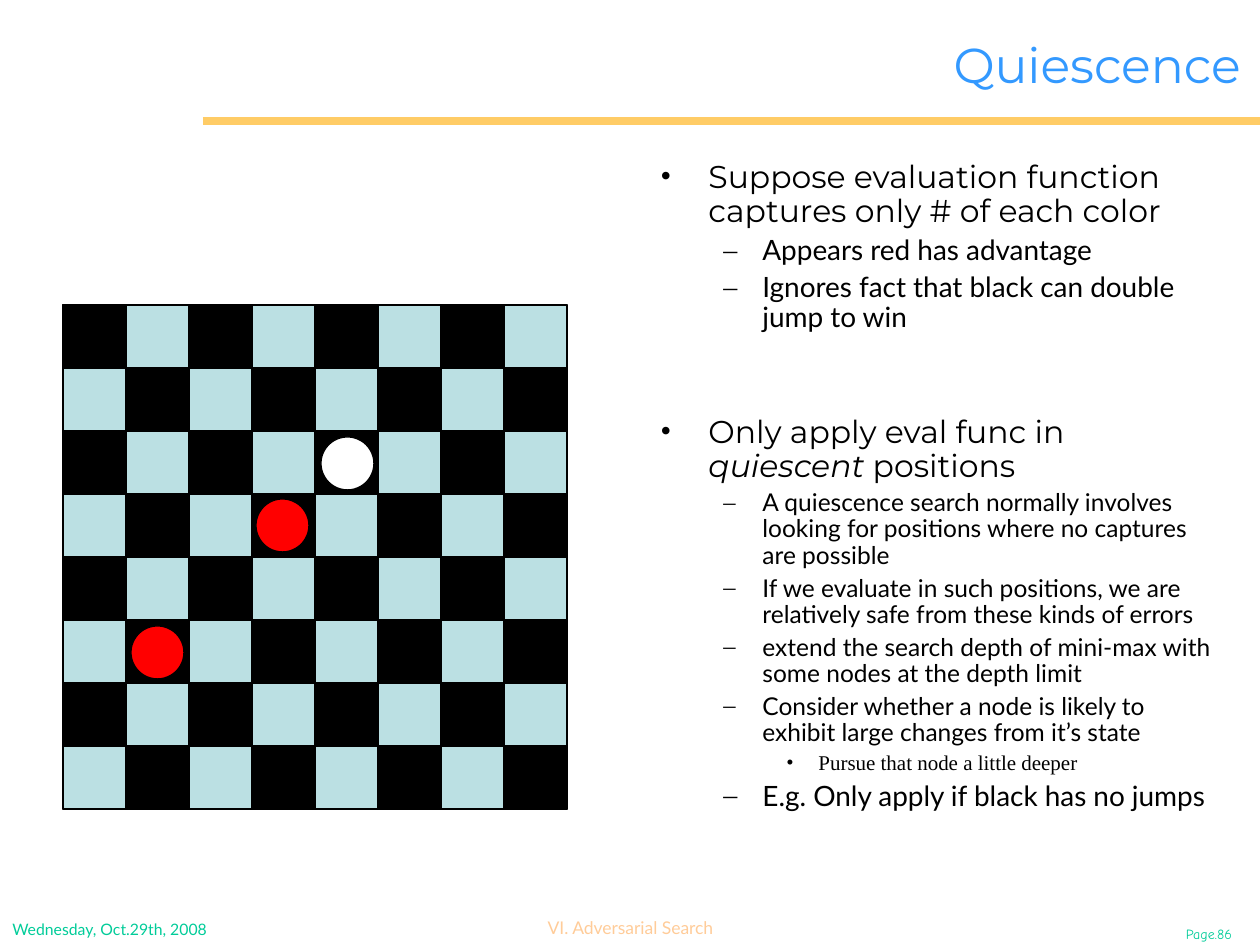
import pptx
import pptx.util
from lxml import etree
from pptx.dml.color import RGBColor
from pptx.enum.shapes import MSO_CONNECTOR, MSO_SHAPE
from pptx.enum.text import MSO_ANCHOR, PP_ALIGN
from pptx.oxml.ns import qn

PX = 7257  # EMU per pixel, 126 pixels to the inch

BLACK = RGBColor(0x00, 0x00, 0x00)
WHITE = RGBColor(0xFF, 0xFF, 0xFF)
RED = RGBColor(0xFF, 0x00, 0x00)
PALE_TEAL = RGBColor(0xBB, 0xE0, 0xE3)
BLUE = RGBColor(0x33, 0x99, 0xFF)
GOLD = RGBColor(0xFF, 0xCC, 0x66)
PEACH = RGBColor(0xFF, 0xCC, 0x99)
GREEN = RGBColor(0x00, 0xCC, 0x99)

# Per outline level: bullet, left margin and hanging indent in px
LEVELS = [("•", 48, 48), ("–", 102, 39), ("•", 158, 32)]


def add_text(frame, text, *, size, font, color=BLACK, align=PP_ALIGN.LEFT,
             level=None, space_before=0):
    """Add a paragraph; parts between asterisks are italic, a level gives a bullet."""
    paragraph = frame.paragraphs[0]
    if paragraph.runs:
        paragraph = frame.add_paragraph()
        paragraph.space_before = pptx.util.Pt(space_before)
    paragraph.alignment = align
    if level is not None:
        bullet, margin, hanging = LEVELS[level]
        paragraph.level = level
        paragraph.line_spacing = 0.9
        properties = paragraph._p.get_or_add_pPr()
        properties.set("marL", str(margin * PX))
        properties.set("indent", str(-hanging * PX))
        etree.SubElement(properties, qn("a:buFont"), typeface="Times New Roman")
        etree.SubElement(properties, qn("a:buChar"), char=bullet)
    for index, part in enumerate(text.split("*")):
        run = paragraph.add_run()
        run.text = part
        run.font.size = pptx.util.Pt(size)
        run.font.name = font
        run.font.color.rgb = color
        if index % 2:
            run.font.italic = True


def add_piece(kind, left, top, side, color):
    """Add a square or round part of the game with a thin black outline."""
    piece = slide.shapes.add_shape(kind, left * PX, top * PX, side * PX, side * PX)
    piece.shadow.inherit = False
    piece.fill.solid()
    piece.fill.fore_color.rgb = color
    piece.line.color.rgb = BLACK
    piece.line.width = pptx.util.Pt(0.75)


deck = pptx.Presentation()
deck.slide_width = pptx.util.Inches(10)
deck.slide_height = pptx.util.Inches(7.5)
slide = deck.slides.add_slide(deck.slide_layouts[6])

# Rule under the title
title_rule = slide.shapes.add_connector(
    MSO_CONNECTOR.STRAIGHT, 203 * PX, 121 * PX, 1260 * PX, 121 * PX)
title_rule.line.color.rgb = GOLD
title_rule.line.width = pptx.util.Pt(4.5)
etree.SubElement(title_rule._element.spPr, qn("a:effectLst"))

# Footer and title
captions = [
    ("Page.86", (1163, 919, 92, 30), True,
     dict(size=8, font="Comic Neue", color=GREEN, align=PP_ALIGN.CENTER)),
    ("VI. Adversarial Search", (529, 911, 203, 34), False,
     dict(size=10, font="Lato", color=PEACH, align=PP_ALIGN.CENTER)),
    ("Wednesday, Oct.29th, 2008", (0, 914, 302, 31), True,
     dict(size=9, font="Lato", color=GREEN)),
    ("Quiescence", (236, 16, 1017, 96), True,
     dict(size=28, font="Montserrat", color=BLUE, align=PP_ALIGN.RIGHT)),
]
for text, place, wraps, style in captions:
    caption = slide.shapes.add_textbox(*(length * PX for length in place)).text_frame
    caption.word_wrap = wraps
    add_text(caption, text, **style)
caption.vertical_anchor = MSO_ANCHOR.MIDDLE  # the title, last in the list

# Outline
main_point = dict(level=0, size=18, font="Montserrat")
remark = dict(level=1, size=16, font="Lato", space_before=4)
detail = dict(level=1, size=14, font="Lato", space_before=3.5)
aside = dict(level=2, size=12, font="Times New Roman", space_before=3)
outline = [
    ("Suppose evaluation function captures only # of each color", main_point),
    ("Appears red has advantage", remark),
    ("Ignores fact that black can double jump to win", remark),
    ("Only apply eval func in *quiescent* positions", dict(main_point, space_before=47)),
    ("A quiescence search normally involves looking for positions "
     "where no captures are possible", detail),
    ("If we evaluate in such positions, we are relatively safe "
     "from these kinds of errors", detail),
    ("extend the search depth of mini-max with some nodes at the depth limit", detail),
    ("Consider whether a node is likely to exhibit large changes from it’s state", detail),
    ("Pursue that node a little deeper", aside),
    ("E.g. Only apply if black has no jumps", remark),
]
body = slide.shapes.add_textbox(648 * PX, 155 * PX, 576 * PX, 743 * PX).text_frame
body.word_wrap = True
for text, style in outline:
    add_text(body, text, **style)

# Checkerboard
BOARD_LEFT, BOARD_TOP, CELL, CELLS = 63, 305, 63, 8
add_piece(MSO_SHAPE.RECTANGLE, BOARD_LEFT, BOARD_TOP, CELL * CELLS, PALE_TEAL)
for row in range(CELLS):
    for column in range(CELLS):
        add_piece(MSO_SHAPE.RECTANGLE, BOARD_LEFT + column * CELL, BOARD_TOP + row * CELL,
                  CELL, PALE_TEAL if (row + column) % 2 else BLACK)

# Checkers
for left, top, color in [(321, 437, WHITE), (256, 499, RED), (131, 626, RED)]:
    add_piece(MSO_SHAPE.OVAL, left, top, 53, color)

deck.save("out.pptx")
